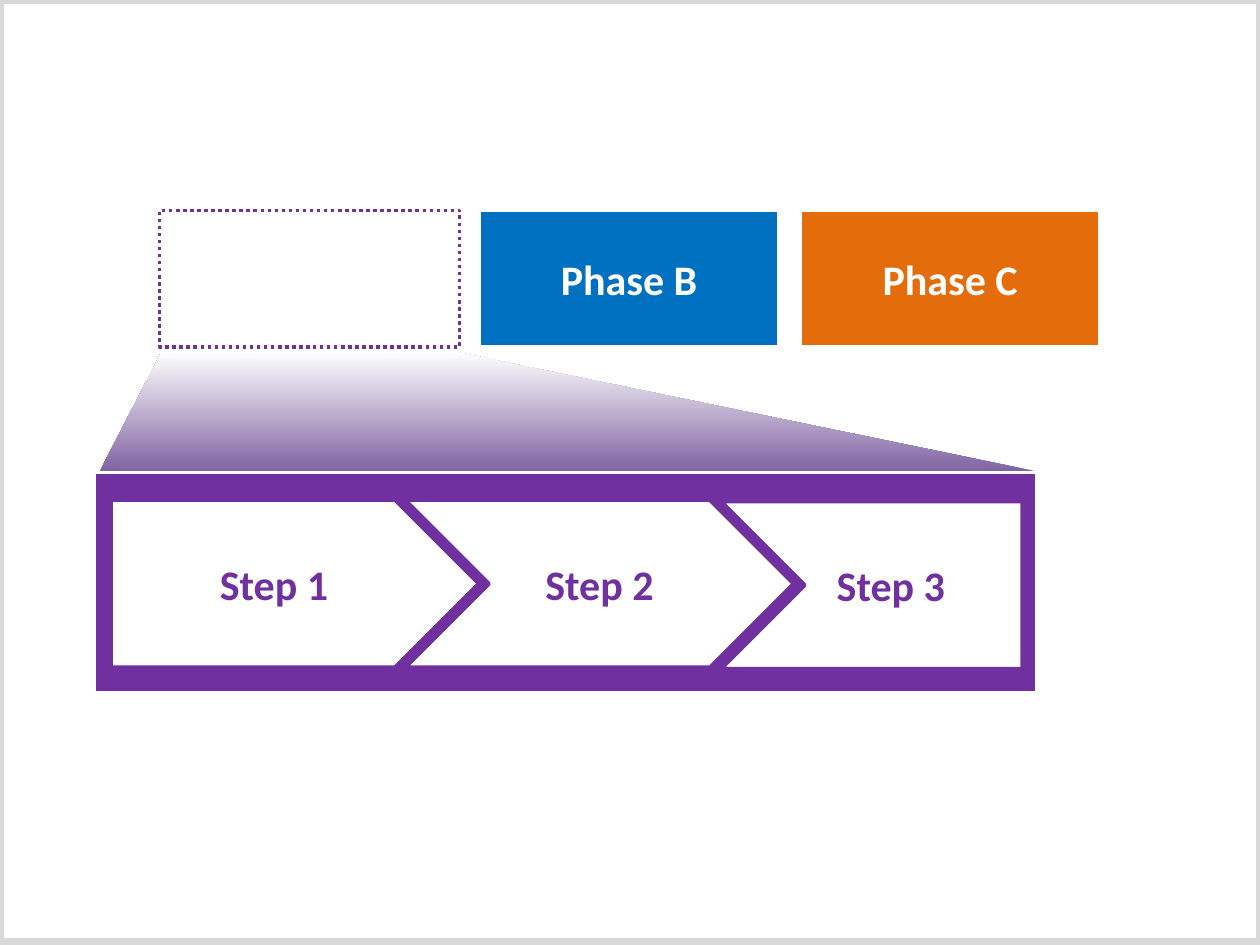
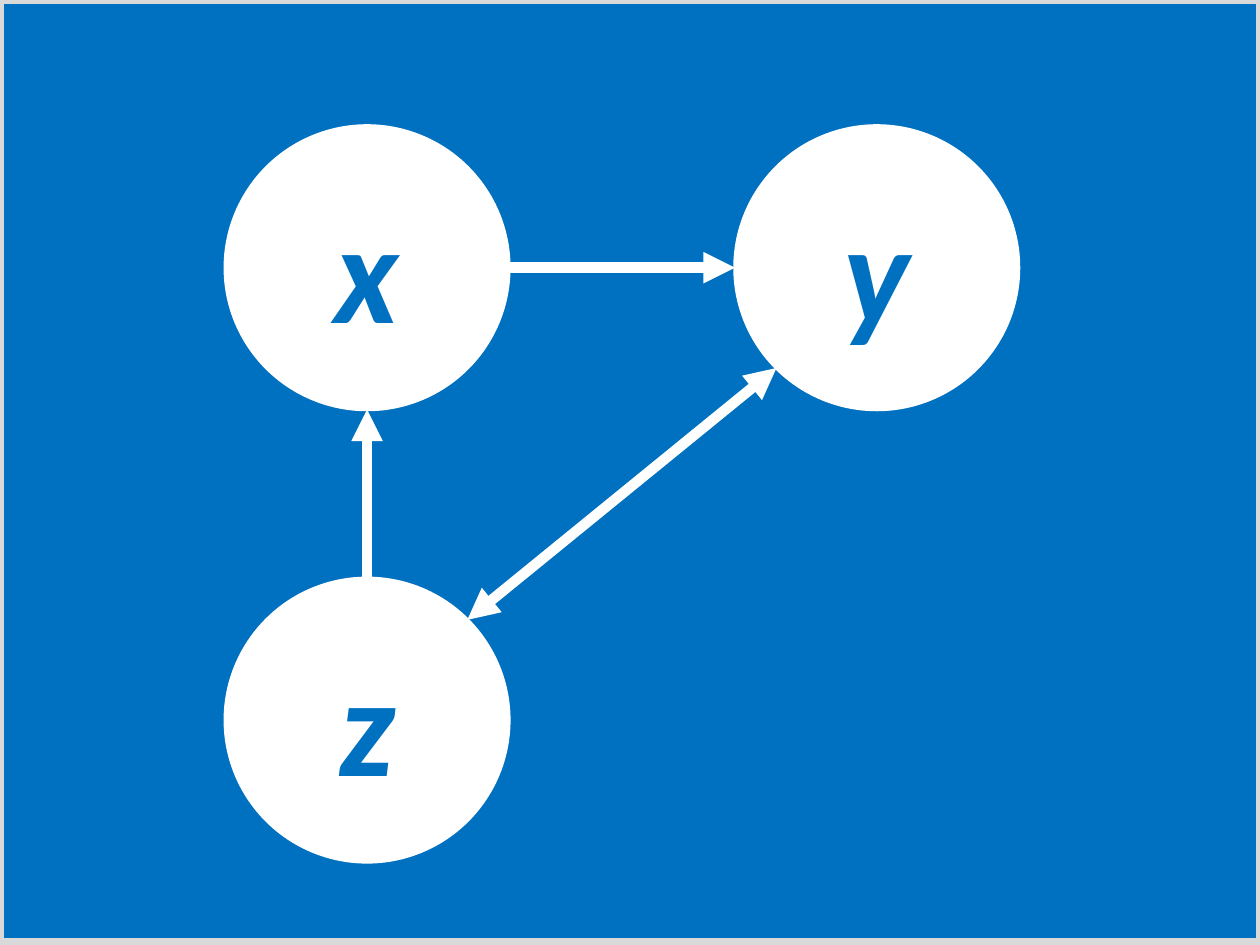
"""Build two diagram slides: a phase zoom-in and a three-node graph."""
import math
from dataclasses import dataclass
from typing import NamedTuple, Optional

import pptx
import pptx.dml.color
import pptx.enum.dml
import pptx.enum.shapes
import pptx.enum.text
import pptx.oxml
import pptx.oxml.ns
import pptx.util
from pptx.shapes.autoshape import Shape
from pptx.slide import Slide

Pt = pptx.util.Pt
Preset = pptx.enum.shapes.MSO_SHAPE


@dataclass(frozen=True)
class Theme:
    """Colours, font, type sizes and line widths."""
    font: str = "Calibri"
    white: str = "FFFFFF"
    frame: str = "D9D9D9"
    purple: str = "7030A0"
    beam: str = "8064A2"
    blue: str = "0070C0"
    orange: str = "E46C0A"
    label_size: float = 24
    node_size: float = 80
    outline: float = 2
    frame_line: float = 4.5
    arrow_line: float = 6


THEME = Theme()


class Point(NamedTuple):
    """A place on the slide, in points."""
    x: float
    y: float


class Box(NamedTuple):
    """A rectangle on the slide, in points."""
    left: float
    top: float
    width: float
    height: float


class Phase(NamedTuple):
    """A phase block; without a label it is the opened, dotted one."""
    left: float
    label: Optional[str] = None
    fill: Optional[str] = None


@dataclass(frozen=True)
class Node:
    """A circle of the graph with a letter inside."""
    letter: str
    left: float
    top: float
    size: float = 162

    def edge(self, degrees: float) -> Point:
        """Return the rim point at an angle clockwise from the right."""
        radius, angle = self.size / 2, math.radians(degrees)
        return Point(self.left + radius * (1 + math.cos(angle)),
                     self.top + radius * (1 + math.sin(angle)))


class Arrow(NamedTuple):
    """A line between two points with optional heads."""
    start: Point
    end: Point
    start_head: bool
    end_head: bool


SLIDE = Box(0, 0, 720, 540)
FRAME = Box(0, 0, 720, 538.5)
PHASE_TOP, PHASE_WIDTH, PHASE_HEIGHT = 120.25, 171.5, 78
PHASES = (Phase(91.25), Phase(273.75, "Phase B", THEME.blue),
          Phase(457.25, "Phase C", THEME.orange))
PANEL = Box(54, 270, 538.5, 126)
BEAM = (Point(92.3, 201.25), Point(259.8, 201), Point(592, 269.3), Point(57, 269.3))
STEP_HEIGHT, STEP_TIP = 95.5, 47.75
STEP_1 = Box(63.5, 285.8, 210, STEP_HEIGHT)
STEP_2 = Box(231.8, 285.8, 221.6, STEP_HEIGHT)
STEP_3 = Box(412.2, 286.6, 171.8, STEP_HEIGHT)
STEP_3_INSET = 29
X, Y, Z = Node("x", 128.75, 72), Node("y", 420, 72), Node("z", 128.75, 330.5)
ARROWS = (Arrow(X.edge(0), Y.edge(180), False, True),
          Arrow(X.edge(90), Z.edge(270), True, False),
          Arrow(Y.edge(135), Z.edge(315), True, True))


def rgb(colour: str) -> pptx.dml.color.RGBColor:
    """Turn a hex string into a colour."""
    return pptx.dml.color.RGBColor.from_string(colour)


def paint(shape: Shape, fill: Optional[str], line: Optional[str],
          width: float = THEME.outline) -> None:
    """Set fill and outline, and drop the shadow."""
    shape.shadow.inherit = False
    if fill:
        shape.fill.solid()
        shape.fill.fore_color.rgb = rgb(fill)
    else:
        shape.fill.background()
    if line:
        shape.line.color.rgb = rgb(line)
        shape.line.width = Pt(width)
    else:
        shape.line.fill.background()


def add_preset(slide: Slide, preset: Preset, box: Box, fill: Optional[str],
               line: str, width: float = THEME.outline) -> Shape:
    """Add a painted preset shape."""
    shape = slide.shapes.add_shape(preset, *map(Pt, box))
    paint(shape, fill, line, width)
    return shape


def add_outline(slide: Slide, points: tuple[Point, ...], fill: Optional[str],
                line: Optional[str]) -> Shape:
    """Add a painted closed polygon."""
    start, *others = [(Pt(point.x), Pt(point.y)) for point in points]
    builder = slide.shapes.build_freeform(*start)
    builder.add_line_segments(others, close=True)
    shape = builder.convert_to_shape()
    paint(shape, fill, line)
    return shape


def write(shape: Shape, text: str, colour: str, size: float = THEME.label_size,
          italic: bool = False) -> None:
    """Write one bold centred line in a shape."""
    frame = shape.text_frame
    frame.word_wrap = True
    frame.vertical_anchor = pptx.enum.text.MSO_ANCHOR.MIDDLE
    paragraph = frame.paragraphs[0]
    paragraph.alignment = pptx.enum.text.PP_ALIGN.CENTER
    run = paragraph.add_run()
    run.text = text
    run.font.name = THEME.font
    run.font.size = Pt(size)
    run.font.bold = True
    run.font.italic = italic
    run.font.color.rgb = rgb(colour)


def step_points(box: Box, pointed: bool) -> tuple[Point, ...]:
    """Return the outline of a notched step, with or without a tip."""
    left, top, width, height = box
    right, bottom, middle = left + width, top + height, top + height / 2
    shoulder = right - STEP_TIP if pointed else right
    tip = (Point(right, middle),) if pointed else ()
    return (Point(left, top), Point(shoulder, top), *tip, Point(shoulder, bottom),
            Point(left, bottom), Point(left + STEP_TIP, middle))


def add_arrow(slide: Slide, arrow: Arrow) -> None:
    """Add a white connector with triangle heads."""
    connector = slide.shapes.add_connector(
        pptx.enum.shapes.MSO_CONNECTOR.STRAIGHT, *map(Pt, (*arrow.start, *arrow.end)))
    connector.line.color.rgb = rgb(THEME.white)
    connector.line.width = Pt(THEME.arrow_line)
    line = connector.line._get_or_add_ln()
    for tag, wanted in (("a:headEnd", arrow.start_head), ("a:tailEnd", arrow.end_head)):
        if wanted:
            end = pptx.oxml.ns.qn(tag)
            line.append(line.makeelement(end, {"type": "triangle"}))
    properties = connector._element.spPr
    properties.append(properties.makeelement(pptx.oxml.ns.qn("a:effectLst"), {}))


def add_framed_slide(presentation: pptx.presentation.Presentation, colour: str) -> Slide:
    """Add a blank slide with a background colour and the grey frame."""
    slide = presentation.slides.add_slide(presentation.slide_layouts[6])
    slide.background.fill.solid()
    slide.background.fill.fore_color.rgb = rgb(colour)
    add_preset(slide, Preset.RECTANGLE, FRAME, None, THEME.frame, THEME.frame_line)
    return slide


def add_beam(slide: Slide) -> None:
    """Add the fading beam between the opened phase and its steps."""
    beam = add_outline(slide, BEAM, None, None)
    beam.fill.gradient()
    beam.fill.gradient_angle = 90
    for stop, colour in zip(beam.fill.gradient_stops, (THEME.beam, THEME.white)):
        stop.color.rgb = rgb(colour)


def build_phases(presentation: pptx.presentation.Presentation) -> None:
    """Build the slide of phases with one opened into steps."""
    slide = add_framed_slide(presentation, THEME.white)
    add_preset(slide, Preset.RECTANGLE, PANEL, THEME.purple, THEME.white)
    last_step = add_outline(slide, step_points(STEP_3, False), THEME.white, THEME.purple)
    last_step.text_frame.margin_left = Pt(STEP_3_INSET)
    write(last_step, "Step 3", THEME.purple)
    add_beam(slide)
    for phase in PHASES:
        box = Box(phase.left, PHASE_TOP, PHASE_WIDTH, PHASE_HEIGHT)
        line = THEME.white if phase.label else THEME.purple
        block = add_preset(slide, Preset.RECTANGLE, box, phase.fill, line)
        if phase.label:
            write(block, phase.label, THEME.white)
        else:
            block.line.dash_style = pptx.enum.dml.MSO_LINE.ROUND_DOT
    middle_step = add_outline(slide, step_points(STEP_2, True), THEME.white, THEME.purple)
    write(middle_step, "Step 2", THEME.purple)
    first_step = add_preset(slide, Preset.PENTAGON, STEP_1, THEME.white, THEME.purple)
    write(first_step, "Step 1", THEME.purple)


def build_graph(presentation: pptx.presentation.Presentation) -> None:
    """Build the slide of three nodes joined by arrows."""
    slide = add_framed_slide(presentation, THEME.blue)
    for node in (X, Y, Z):
        box = Box(node.left, node.top, node.size, node.size)
        circle = add_preset(slide, Preset.FLOWCHART_CONNECTOR, box, THEME.white, THEME.white)
        write(circle, node.letter, THEME.blue, THEME.node_size, italic=True)
    for arrow in ARROWS:
        add_arrow(slide, arrow)


def main() -> None:
    """Build and save the presentation."""
    presentation = pptx.Presentation()
    presentation.slide_width = Pt(SLIDE.width)
    presentation.slide_height = Pt(SLIDE.height)
    build_phases(presentation)
    build_graph(presentation)
    presentation.save("out.pptx")


if __name__ == "__main__":
    main()
